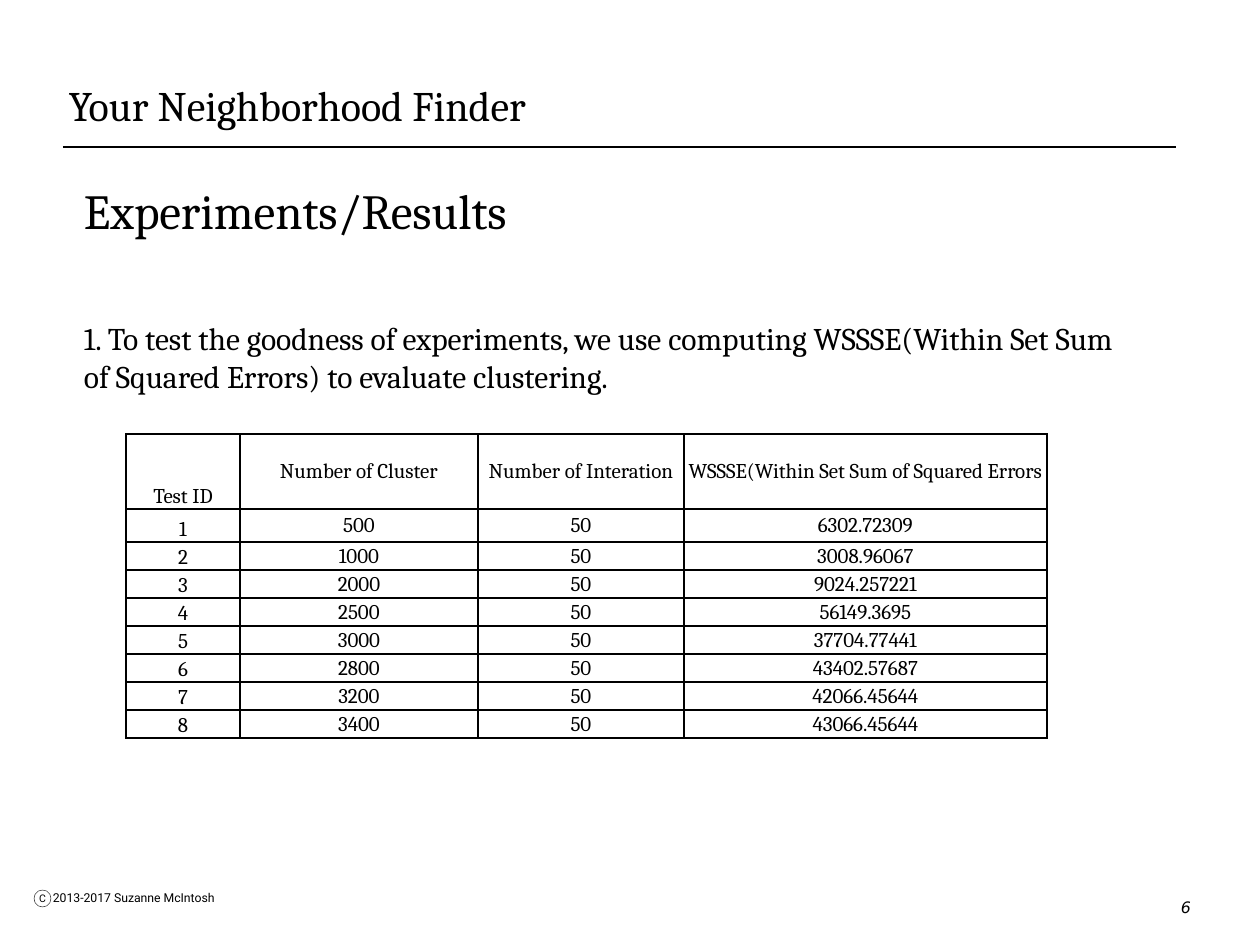
import pptx
import pptx.util
import pptx.dml.color
import pptx.enum.shapes
import pptx.enum.text
import pptx.oxml
import pptx.oxml.ns
from lxml import etree

# Content
TITLE = "Your Neighborhood Finder"
HEADING = "Experiments/Results"
STATEMENT = ("1. To test the goodness of experiments, we use computing WSSSE(Within Set Sum "
             "of Squared Errors) to evaluate clustering.")
FOOTER = "2013-2017 Suzanne McIntosh"
PAGE_NUMBER = "6"
HEADER = ["Test ID", "Number of Cluster", "Number of Interation",
          "WSSSE(Within Set Sum of Squared Errors"]
ITERATIONS = "50"
RESULTS = [  # clusters, WSSSE
    ("500", "6302.72309"),
    ("1000", "3008.96067"),
    ("2000", "9024.257221"),
    ("2500", "56149.3695"),
    ("3000", "37704.77441"),
    ("2800", "43402.57687"),
    ("3200", "42066.45644"),
    ("3400", "43066.45644"),
]

# Measures in px, 126 to the inch
SCALE = 914400 // 126
COLUMN_WIDTHS = [114, 238, 206, 363]
ROW_HEIGHTS = [75, 33] + [28] * (len(RESULTS) - 1)
BLACK, WHITE = "000000", "FFFFFF"
ALIGN = pptx.enum.text.PP_ALIGN
ANCHOR = pptx.enum.text.MSO_ANCHOR


def px(length):
    return pptx.util.Emu(length * SCALE)


def color(value):
    return pptx.dml.color.RGBColor.from_string(value)


def write(frame, text, size=18, font="Cambria", align=ALIGN.LEFT, italic=False,
          before=0, first=True):
    """Put text into the first paragraph of the frame, or into a new one."""
    paragraph = frame.paragraphs[0] if first else frame.add_paragraph()
    paragraph.alignment = align
    paragraph.space_before = pptx.util.Pt(before)
    run = paragraph.add_run()
    run.text = text
    run.font.size = pptx.util.Pt(size)
    run.font.name = font
    run.font.italic = italic
    run.font.color.rgb = color(BLACK)


def set_margins(target, left, top, right, bottom):
    target.margin_left, target.margin_top = px(left), px(top)
    target.margin_right, target.margin_bottom = px(right), px(bottom)


def add_box(slide, box, margins=(6, 6, 6, 6), anchor=ANCHOR.TOP, wrap=True):
    frame = slide.shapes.add_textbox(*map(px, box)).text_frame
    frame.word_wrap = wrap
    frame.vertical_anchor = anchor
    set_margins(frame, *margins)
    return frame


def add_borders(cell):
    properties = cell._tc.get_or_add_tcPr()
    for position, side in enumerate(("lnL", "lnR", "lnT", "lnB")):
        border = pptx.oxml.parse_xml(
            f'<a:{side} {pptx.oxml.ns.nsdecls("a")} w="12700"><a:solidFill>'
            f'<a:srgbClr val="{BLACK}"/></a:solidFill></a:{side}>')
        properties.insert(position, border)


def add_results_table(slide):
    rows = [HEADER] + [[str(number), clusters, ITERATIONS, error]
                       for number, (clusters, error) in enumerate(RESULTS, 1)]
    table = slide.shapes.add_table(
        len(rows), len(HEADER), px(126), px(434),
        px(sum(COLUMN_WIDTHS)), px(sum(ROW_HEIGHTS))).table
    table.first_row = table.horz_banding = False
    for column, width in zip(table.columns, COLUMN_WIDTHS):
        column.width = px(width)
    for row, height, texts in zip(table.rows, ROW_HEIGHTS, rows):
        row.height = px(height)
        for index, (cell, text) in enumerate(zip(row.cells, texts)):
            set_margins(cell, 1, 1, 1, 0)
            cell.vertical_anchor = ANCHOR.MIDDLE if index else ANCHOR.BOTTOM
            cell.fill.solid()
            cell.fill.fore_color.rgb = color(WHITE)
            write(cell.text_frame, text, size=12, align=ALIGN.CENTER)
            add_borders(cell)


def main():
    presentation = pptx.Presentation()
    presentation.slide_width, presentation.slide_height = px(1260), px(945)
    slide = presentation.slides.add_slide(presentation.slide_layouts[6])

    # Rule under the title
    rule = slide.shapes.add_connector(
        pptx.enum.shapes.MSO_CONNECTOR.STRAIGHT, px(63), px(147), px(1176), px(147))
    rule.line.color.rgb = color(BLACK)
    rule.line.width = pptx.util.Pt(1.5)
    etree.SubElement(rule._element.spPr, pptx.oxml.ns.qn("a:effectLst"))

    # Footer with its copyright sign
    footer = add_box(slide, (26, 881, 229, 33), margins=(27, 8, 8, 8), anchor=ANCHOR.MIDDLE)
    write(footer, FOOTER, size=7, font="Roboto")
    sign = slide.shapes.add_shape(
        pptx.enum.shapes.MSO_SHAPE.OVAL, *map(px, (34, 890, 17, 17)))
    sign.shadow.inherit = False
    sign.fill.solid()
    sign.fill.fore_color.rgb = color(WHITE)
    sign.line.color.rgb = color(BLACK)
    sign.line.width = pptx.util.Pt(0.25)
    sign.text_frame.word_wrap = False
    sign.text_frame.vertical_anchor = ANCHOR.MIDDLE
    set_margins(sign.text_frame, 0, 0, 0, 0)
    write(sign.text_frame, "C", size=6, font="Roboto", align=ALIGN.CENTER)

    # Page number
    number = add_box(slide, (1173, 892, 24, 32), wrap=False)
    write(number, PAGE_NUMBER, size=9, font="DejaVu Sans", align=ALIGN.RIGHT, italic=True)

    # Title and body
    title = add_box(slide, (63, 38, 1134, 98), anchor=ANCHOR.BOTTOM)
    write(title, TITLE, size=24)
    body = add_box(slide, (78, 156, 1072, 737), margins=(6, 24, 6, 6))
    write(body, HEADING, size=28)
    write(body, STATEMENT, size=18, before=46, first=False)

    add_results_table(slide)
    presentation.save("out.pptx")


if __name__ == "__main__":
    main()
